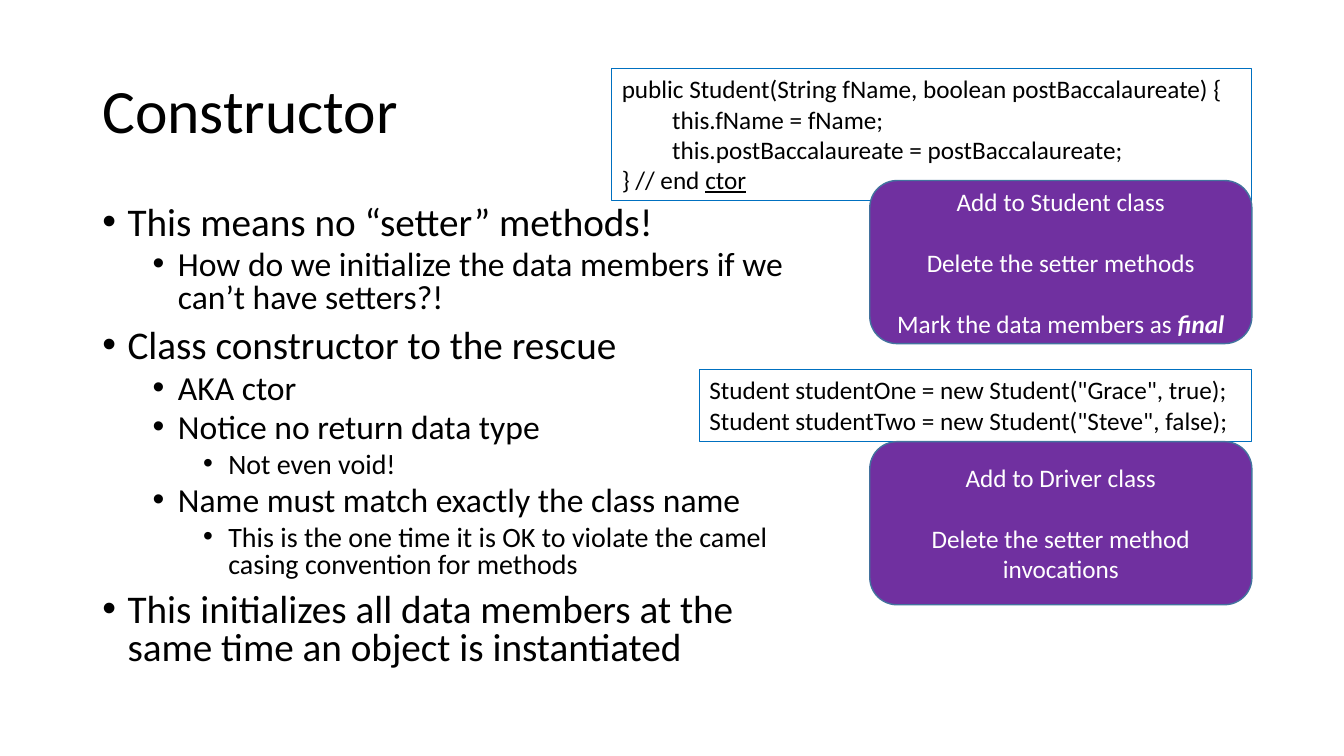
import pptx
import pptx.dml.color
import pptx.enum.shapes
import pptx.enum.text
import pptx.util
from lxml import etree
from pptx.oxml.ns import qn

Cm, Pt = pptx.util.Cm, pptx.util.Pt
SHAPE = pptx.enum.shapes.MSO_SHAPE
ANCHOR = pptx.enum.text.MSO_ANCHOR
ALIGN = pptx.enum.text.PP_ALIGN
AUTO_SIZE = pptx.enum.text.MSO_AUTO_SIZE

FONT = "Calibri"
BLACK, WHITE, PURPLE, BLUE, STEEL = "000000", "FFFFFF", "7030A0", "0070C0", "43739E"

TITLE = "Constructor"
BULLETS = [  # level, text
    (0, "This means no “setter” methods!"),
    (1, "How do we initialize the data members if we can’t have setters?!"),
    (0, "Class constructor to the rescue"),
    (1, "AKA ctor"),
    (1, "Notice no return data type"),
    (2, "Not even void!"),
    (1, "Name must match exactly the class name"),
    (2, "This is the one time it is OK to violate the camel casing convention for methods"),
    (0, "This initializes all data members at the same time an object is instantiated"),
]
LEVELS = [(28, 10), (24, 5), (20, 5)]  # text size, space before

# top, width, height, lines as (level, runs)
CODE_BOXES = [
    (1.73, 16.13, 3.33, [
        (0, [("public Student(String fName, boolean postBaccalaureate) {", {})]),
        (1, [("this.fName = fName;", {})]),
        (1, [("this.postBaccalaureate = postBaccalaureate;", {})]),
        (0, [("} // end ", {}), ("ctor", {"underline": True})]),
    ]),
    (9.32, 13.92, 1.8, [
        (0, [('Student studentOne = new Student("Grace", true);', {})]),
        (0, [('Student studentTwo = new Student("Steve", false);', {})]),
    ]),
]
# top, paragraphs as runs
CALLOUTS = [
    (4.55, [
        [("Add to Student class", {})],
        [("Delete the setter methods", {})],
        [("Mark the data members as ", {}), ("final", {"bold": True, "italic": True})],
    ]),
    (11.13, [
        [("Add to Driver class", {})],
        [("Delete the setter method invocations", {})],
    ]),
]
LEFT, RIGHT = 2.33, 31.55
CALLOUT_W, CALLOUT_H = 9.63, 4.11
INDENT = 1.27
HANG = INDENT / 2


def rgb(value):
    return pptx.dml.color.RGBColor.from_string(value)


def add_text(p, runs, size, color=BLACK):
    for text, extra in runs:
        r = p.add_run()
        r.text = text
        r.font.color.rgb = rgb(color)
        for name, value in {"name": FONT, "size": Pt(size), **extra}.items():
            setattr(r.font, name, value)


def paragraphs(tf, items):
    """Yield each item with its own paragraph, using the existing one first."""
    for i, item in enumerate(items):
        yield (tf.paragraphs[0] if i == 0 else tf.add_paragraph()), item


def indent(p, left, first=0):
    pPr = p._p.get_or_add_pPr()
    pPr.set("marL", str(Cm(left)))
    pPr.set("indent", str(Cm(first)))
    return pPr


def add_box(s, kind, top, width, height, line, line_width, fill=None):
    """Add an outlined shape whose right side is on the common right edge."""
    sp = s.shapes.add_shape(kind, Cm(RIGHT - width), Cm(top), Cm(width), Cm(height))
    sp.shadow.inherit = False
    sp.line.color.rgb = rgb(line)
    sp.line.width = Pt(line_width)
    if fill:
        sp.fill.solid()
        sp.fill.fore_color.rgb = rgb(fill)
    else:
        sp.fill.background()
    return sp.text_frame


def add_title(s):
    tf = s.shapes.add_textbox(Cm(LEFT), Cm(1.02), Cm(29.21), Cm(3.68)).text_frame
    tf.word_wrap, tf.vertical_anchor = True, ANCHOR.MIDDLE
    p = tf.paragraphs[0]
    p.line_spacing = 0.9
    add_text(p, [(TITLE, {})], 44)


def add_bullets(s):
    tf = s.shapes.add_textbox(Cm(LEFT), Cm(5.08), Cm(18.26), Cm(12.09)).text_frame
    tf.word_wrap = True
    for p, (level, text) in paragraphs(tf, BULLETS):
        size, before = LEVELS[level]
        p.level, p.line_spacing, p.space_before = level, 0.8, Pt(before)
        pPr = indent(p, HANG + level * INDENT, -HANG)
        etree.SubElement(pPr, qn("a:buFont"), typeface="Arial")
        etree.SubElement(pPr, qn("a:buChar"), char="•")
        add_text(p, [(text, {})], size)


def add_code(s, top, width, height, lines):
    tf = add_box(s, SHAPE.RECTANGLE, top, width, height, BLUE, 0.75)
    tf.word_wrap, tf.auto_size = False, AUTO_SIZE.SHAPE_TO_FIT_TEXT
    tf.vertical_anchor = ANCHOR.TOP
    for p, (level, runs) in paragraphs(tf, lines):
        p.level, p.alignment = level, ALIGN.LEFT
        indent(p, level * INDENT)
        add_text(p, runs, 18)


def add_callout(s, top, items):
    tf = add_box(s, SHAPE.ROUNDED_RECTANGLE, top, CALLOUT_W, CALLOUT_H, STEEL, 1, PURPLE)
    tf.word_wrap, tf.vertical_anchor = True, ANCHOR.MIDDLE
    for p, runs in paragraphs(tf, items):
        p.alignment = ALIGN.CENTER
        if runs is not items[0]:
            p.space_before = Pt(22)
        add_text(p, runs, 18, WHITE)


def main():
    prs = pptx.Presentation()
    prs.slide_width, prs.slide_height = Cm(33.87), Cm(19.05)
    s = prs.slides.add_slide(prs.slide_layouts[6])
    add_title(s)
    add_bullets(s)
    for code, callout in zip(CODE_BOXES, CALLOUTS):
        add_code(s, *code)
        add_callout(s, *callout)
    prs.save("out.pptx")


if __name__ == "__main__":
    main()
